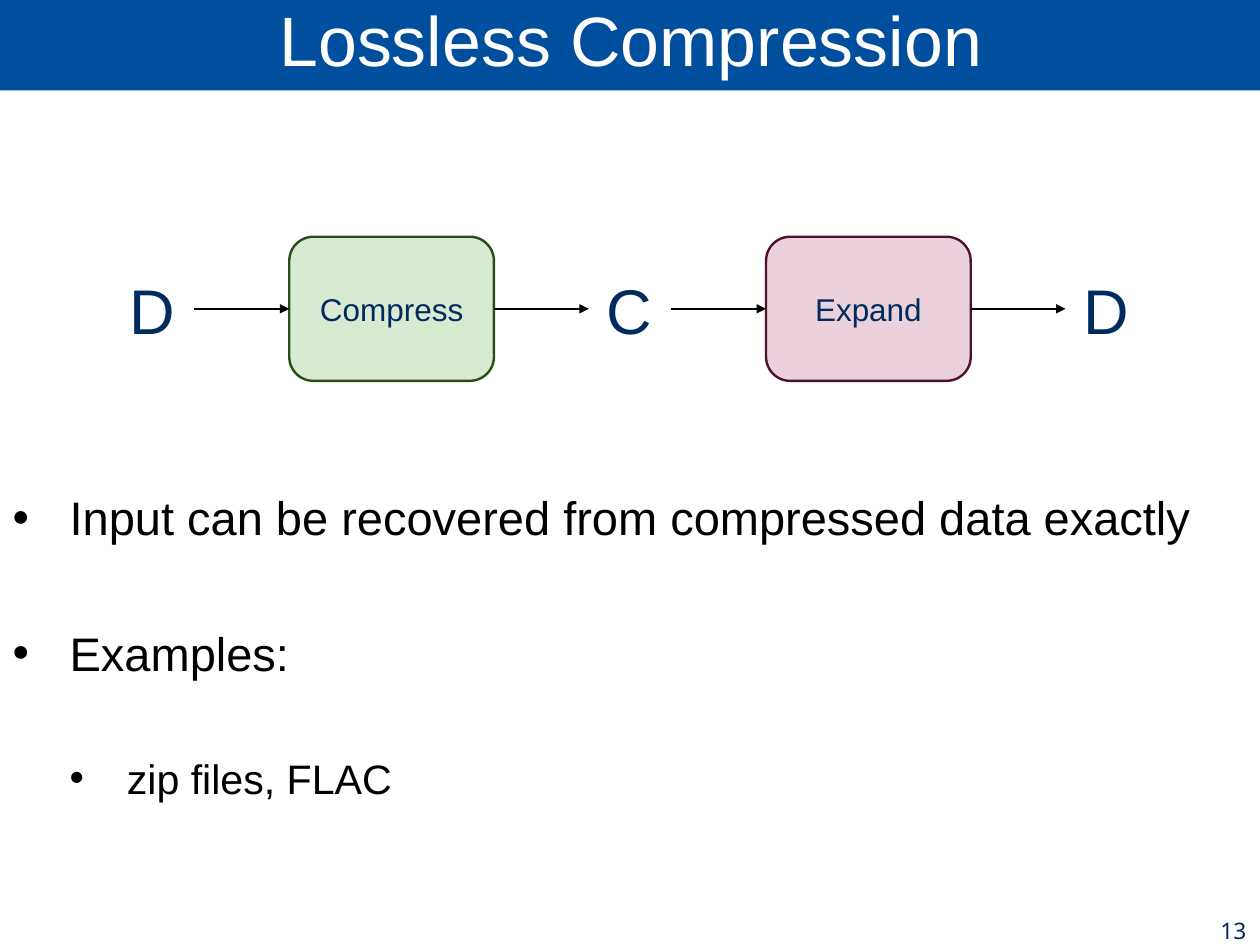
"""Build the slide on lossless compression."""
import dataclasses

import lxml.etree
import pptx
import pptx.dml.color
import pptx.enum.shapes
import pptx.enum.text
import pptx.oxml.ns
import pptx.util

Inches = pptx.util.Inches
Pt = pptx.util.Pt
Align = pptx.enum.text.PP_ALIGN
Anchor = pptx.enum.text.MSO_ANCHOR
qn = pptx.oxml.ns.qn


@dataclasses.dataclass(frozen=True)
class Theme:
    """Hold the colours, fonts and type sizes."""
    band: str = "004F9E"
    white: str = "FFFFFF"
    navy: str = "002B5E"
    black: str = "000000"
    green: tuple = ("D9EAD3", "274E13")
    pink: tuple = ("EAD1DC", "4C1130")
    face: str = "Arial"
    num_face: str = "Noto Sans"
    title: float = 44
    levels: tuple = (29.6, 25.9)
    after: tuple = (14.3, 11.4)
    data: float = 39.7
    step: float = 19.8
    num: float = 14.3
    line: float = 1.5


THEME = Theme()
TOP, TALL = 2.07, 1.26
MID = TOP + TALL / 2
STEP_W, DATA_W = 1.79, 1.57
PITCH = 4.17
DATA_X, STEP_X = 0.55, 2.53
ARROW = 0.83


def rgb(code):
    """Turn a hex code into a colour."""
    return pptx.dml.color.RGBColor.from_string(code)


def style(para, size, color, align=Align.LEFT, face=THEME.face):
    """Set the alignment and font of a paragraph."""
    para.alignment = align
    para.font.size = Pt(size)
    para.font.name = face
    para.font.color.rgb = rgb(color)


def set_frame(frame, anchor):
    """Set the wrap, anchor and margins of a text frame."""
    frame.word_wrap = True
    frame.auto_size = pptx.enum.text.MSO_AUTO_SIZE.NONE
    frame.vertical_anchor = anchor
    frame.margin_left = frame.margin_right = Inches(0.11)
    frame.margin_top = frame.margin_bottom = Inches(0.11)


def add_title(slide, text):
    """Fill the title placeholder as a band across the top."""
    title = slide.shapes.title
    title.left, title.top = Inches(0), Inches(-0.02)
    title.width, title.height = Inches(11.04), Inches(0.81)
    title.fill.solid()
    title.fill.fore_color.rgb = rgb(THEME.band)
    title.text_frame.text = text
    set_frame(title.text_frame, Anchor.BOTTOM)
    para = title.text_frame.paragraphs[0]
    para.line_spacing = 0.69
    style(para, THEME.title, THEME.white, Align.CENTER)


def add_text(slide, box, text, size, align, face=THEME.face):
    """Add a text box with one navy line of text."""
    frame = slide.shapes.add_textbox(*map(Inches, box)).text_frame
    set_frame(frame, Anchor.MIDDLE)
    frame.text = text
    style(frame.paragraphs[0], size, THEME.navy, align, face)


def add_step(slide, left, text, colors):
    """Add a rounded box for one step of the flow."""
    kind = pptx.enum.shapes.MSO_SHAPE.ROUNDED_RECTANGLE
    box = slide.shapes.add_shape(
        kind, Inches(left), Inches(TOP), Inches(STEP_W), Inches(TALL))
    box.shadow.inherit = False
    fill, line = colors
    box.fill.solid()
    box.fill.fore_color.rgb = rgb(fill)
    box.line.color.rgb = rgb(line)
    box.line.width = Pt(THEME.line)
    set_frame(box.text_frame, Anchor.MIDDLE)
    box.text_frame.text = text
    style(box.text_frame.paragraphs[0], THEME.step, THEME.navy, Align.CENTER)
    return box


def add_arrow(slide, left):
    """Add an arrow that points right along the flow."""
    arrow = slide.shapes.add_connector(
        pptx.enum.shapes.MSO_CONNECTOR.STRAIGHT,
        Inches(left), Inches(MID), Inches(left + ARROW), Inches(MID))
    arrow.line.color.rgb = rgb(THEME.black)
    arrow.line.width = Pt(THEME.line)
    line = arrow.line._get_or_add_ln()
    lxml.etree.SubElement(line, qn("a:tailEnd"), type="triangle")
    lxml.etree.SubElement(arrow._element.spPr, qn("a:effectLst"))
    return arrow


def add_flow(slide):
    """Lay out the data letters, the steps and the arrows."""
    for i, text in enumerate(("D", "C", "D")):
        box = (DATA_X + i * PITCH, TOP, DATA_W, TALL)
        add_text(slide, box, text, THEME.data, Align.CENTER)
    steps = (("Compress", THEME.green), ("Expand", THEME.pink))
    for i, (text, colors) in enumerate(steps):
        left = STEP_X + i * PITCH
        box = add_step(slide, left, text, colors)
        add_arrow(slide, left - ARROW).end_connect(box, 1)
        add_arrow(slide, left + STEP_W).begin_connect(box, 3)


def add_bullet(para, level):
    """Give a paragraph a hanging bullet for its level."""
    para.level = level
    props = para._p.get_or_add_pPr()
    props.set("marL", str(Inches(0.5 * (level + 1))))
    props.set("indent", str(Inches(-0.5)))
    tint = lxml.etree.SubElement(props, qn("a:buClr"))
    lxml.etree.SubElement(tint, qn("a:srgbClr"), val=THEME.black)
    lxml.etree.SubElement(props, qn("a:buFont"), typeface=THEME.face)
    lxml.etree.SubElement(props, qn("a:buChar"), char="•")


def add_list(slide, items):
    """Add the list of points below the flow."""
    box = slide.shapes.add_textbox(
        Inches(0), Inches(3.67), Inches(11.04), Inches(4.34))
    frame = box.text_frame
    set_frame(frame, Anchor.TOP)
    frame.text = "\n".join(text for level, text in items)
    for para, (level, text) in zip(frame.paragraphs, items):
        add_bullet(para, level)
        para.line_spacing = 2.0
        para.space_after = Pt(THEME.after[level])
        style(para, THEME.levels[level], THEME.black)


def main():
    """Build and save the slide."""
    deck = pptx.Presentation()
    deck.slide_width, deck.slide_height = Inches(11.02), Inches(8.27)
    slide = deck.slides.add_slide(deck.slide_layouts.get_by_name("Title Only"))
    add_title(slide, "Lossless Compression")
    add_list(slide, (
        (0, "Input can be recovered from compressed data exactly"),
        (0, "Examples:"),
        (1, "zip files, FLAC"),
    ))
    add_text(slide, (8.48, 7.86, 2.53, 0.55), "13",
             THEME.num, Align.RIGHT, THEME.num_face)
    add_flow(slide)
    deck.save("out.pptx")


if __name__ == "__main__":
    main()
